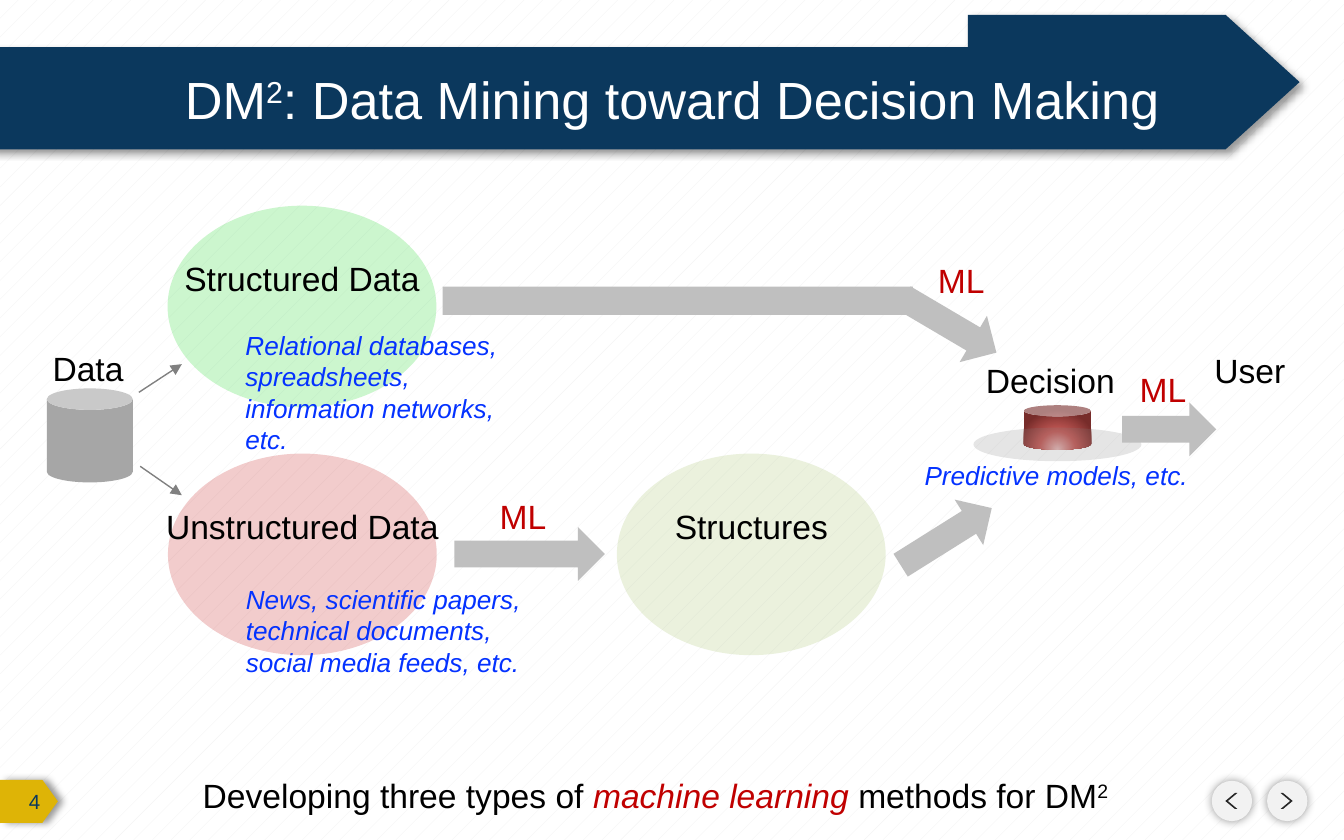
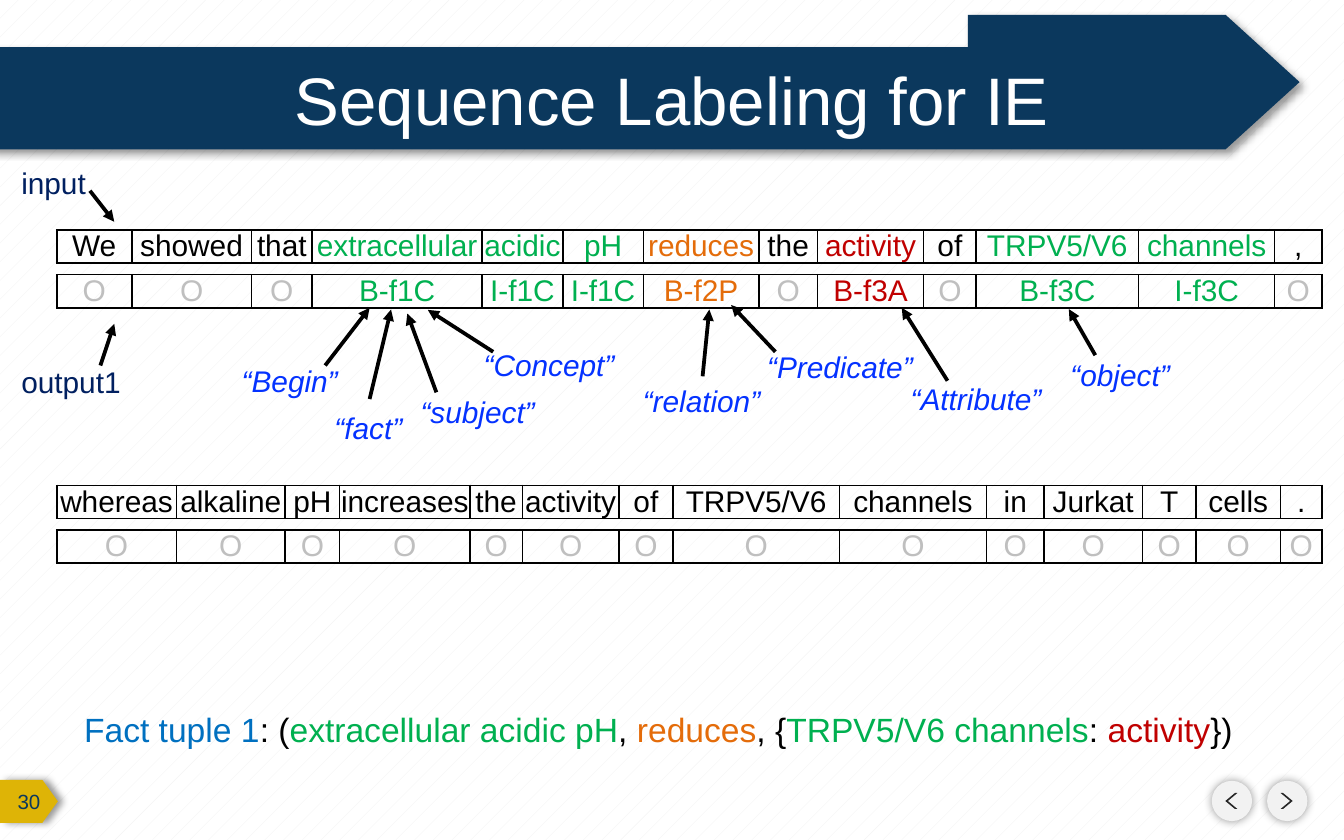
from dataclasses import dataclass
from itertools import accumulate

from lxml import etree
from pptx import Presentation
from pptx.dml.color import RGBColor as Rgb
from pptx.enum.dml import MSO_PATTERN as Pat
from pptx.enum.shapes import MSO_CONNECTOR as Conn, MSO_SHAPE as Geo
from pptx.enum.text import MSO_ANCHOR as Anchor, MSO_AUTO_SIZE as Fit, PP_ALIGN as Align
from pptx.oxml import parse_xml
from pptx.oxml.ns import nsdecls, qn
from pptx.util import Pt


@dataclass(frozen=True)
class Theme:
    font: str = "Arial"
    white: str = "FFFFFF"
    pale: str = "F2F2F2"
    black: str = "000000"
    dark: str = "262626"
    navy: str = "0B385D"
    ink: str = "012060"
    gold: str = "DEB406"
    blue: str = "0432FF"
    sky: str = "0070C0"
    red: str = "C00000"
    green: str = "00B050"
    orange: str = "E46C0A"
    lime: str = "02D40E"
    olive: str = "9BBB59"
    silver: str = "BFBFBF"
    steel: str = "A6A6A6"
    grey: str = "808080"
    glow: tuple = ((0, "E6B9B8"), (46, "C35956"), (100, "772C2A"))
    head: int = 36
    long: int = 28
    label: int = 18
    word: int = 16
    note: int = 14
    page: int = 11


T = Theme()


def sub(node, tag, **attrs):
    return etree.SubElement(node, qn(tag), {k: str(v) for k, v in attrs.items()})


def style(font, size=None, color=None, italic=None):
    if size:
        font.name, font.size = T.font, Pt(size)
    if color:
        font.color.rgb = Rgb.from_string(color)
    if italic is not None:
        font.italic = italic


def fill_runs(para, runs):
    """Each run is (text, colour, italic, raised); only the text is required."""
    for text, *look in runs:
        color, italic, raised = (look + [None] * 3)[:3]
        run = para.add_run()
        run.text = text
        style(run.font, None, color, italic)
        if raised:
            run.font._element.set("baseline", "30000")


def paint(shape, color, alpha=None, shade=None):
    """Flat fill without outline; shade is (blur, distance, degrees)."""
    shape.shadow.inherit = False
    shape.line.fill.background()
    shape.fill.solid()
    shape.fill.fore_color.rgb = Rgb.from_string(color)
    props = shape._element.spPr
    if alpha:
        sub(props.find(".//" + qn("a:srgbClr")), "a:alpha", val=alpha * 1000)
    if shade:
        blur, dist, deg = shade
        outer = sub(props.find(qn("a:effectLst")), "a:outerShdw", blurRad=Pt(blur),
                    dist=Pt(dist), dir=deg * 60000, algn="ctr", rotWithShape=0)
        sub(sub(outer, "a:srgbClr", val=T.black), "a:alpha", val=40000)
    return shape


@dataclass
class Pane:
    """A region of a slide; parts are placed relative to its corner."""
    slide: object
    x: float = 0
    y: float = 0

    def at(self, x, y):
        return Pt(self.x + x), Pt(self.y + y)

    def draw(self, geo, x, y, w, h, color, turn=0, adj=None, **look):
        shape = self.slide.shapes.add_shape(geo, *self.at(x, y), Pt(w), Pt(h))
        shape.rotation = turn
        if adj:
            shape.adjustments[0] = adj
        return paint(shape, color, **look)

    def text(self, lines, x, y, w, h=28.8, size=T.label, color=T.black,
             italic=None, align=None, wrap=False):
        box = self.slide.shapes.add_textbox(*self.at(x, y), Pt(w), Pt(h))
        frame = box.text_frame
        frame.word_wrap, frame.auto_size = wrap, Fit.SHAPE_TO_FIT_TEXT
        for i, line in enumerate([lines] if isinstance(lines, str) else lines):
            para = frame.add_paragraph() if i else frame.paragraphs[0]
            para.alignment = align
            style(para.font, size, color, italic)
            fill_runs(para, [(line,)] if isinstance(line, str) else line)
        return frame

    def arrow(self, x1, y1, x2, y2, color=T.black, width=2):
        line = self.slide.shapes.add_connector(
            Conn.STRAIGHT, *self.at(x1, y1), *self.at(x2, y2))
        line.line.color.rgb = Rgb.from_string(color)
        line.line.width = Pt(width)
        props = line._element.spPr
        sub(props.find(qn("a:ln")), "a:tailEnd", type="triangle")
        sub(props, "a:effectLst")

    def ml(self, x, y):
        self.text("ML", x, y, 39.6, color=T.red)


# Shared frame: banner, title, page tag, navigation
def banner(pane, runs, size):
    form = pane.slide.shapes.build_freeform(*pane.at(0, 17.3), scale=1.0)
    form.add_line_segments([pane.at(*p) for p in (
        (524.4, 17.3), (524.4, 0), (662.4, 0), (702, 36), (662.4, 72), (0, 72))])
    band = paint(form.convert_to_shape(), T.navy, shade=(4, 3, 45))
    title = pane.slide.shapes.title
    band._element.addnext(title._element)  # the title lies on the band
    title.left, title.top = pane.at(67, 19.5)
    title.width, title.height = Pt(597.6), Pt(50.4)
    frame = title.text_frame
    frame.auto_size, frame.word_wrap = Fit.NONE, True
    frame.vertical_anchor = Anchor.MIDDLE
    para = frame.paragraphs[0]
    para.alignment = Align.CENTER
    style(para.font, size, T.white)
    fill_runs(para, runs)


def page_tag(pane, page):
    pane.draw(Geo.PENTAGON, 0, 0, 31, 23, T.gold, adj=0.36, shade=(4, 3, 0))
    frame = pane.text(str(page), 0, 0, 28.8, 23, T.page, T.navy,
                      align=Align.RIGHT, wrap=True)
    frame.auto_size, frame.vertical_anchor = Fit.NONE, Anchor.MIDDLE


def nav(pane):
    for i, turn in enumerate((180, 0)):
        x = i * 29.6
        pane.draw(Geo.OVAL, x, 0, 21.6, 21.6, T.pale, shade=(5, 0, 0))
        pane.draw(Geo.CHEVRON, x + 7.2, 6.5, 6.5, 8.6, T.dark, turn, 0.793)


def new_slide(deck, runs, size, page):
    slide = deck.slides.add_slide(deck.slide_layouts[5])
    nav(Pane(slide, 649.2, 418.3))
    page_tag(Pane(slide, 0, 417.8), page)
    banner(Pane(slide, -5.8, 8), runs, size)
    return slide


# Data mining flow
def stage(pane, color, name, width, note=None, drop=0):
    pane.draw(Geo.OVAL, 0, 0, 144, 108, color, alpha=20)
    pane.text(name, 72 - width / 2, 24.4, width, align=Align.CENTER)
    if note:
        pane.text(note, 34.6, drop, 172.8, 58.3, T.note, T.blue, True, wrap=True)


def store(pane):
    pane.draw(Geo.CAN, 4, 25.2, 46.1, 50.4, T.steel)
    pane.text("Data", 0, 0, 52.6)
    pane.arrow(53.3, 27.3, 76.3, 12.2, T.grey, 0.75)
    pane.arrow(54, 66.9, 76.3, 82.4, T.grey, 0.75)


def links(pane):
    for x, y, w, turn in ((6.3, 128.8, 80.6, 0), (243.1, 6.3, 57.6, 30.5),
                          (241, 119.5, 57.6, 327.9)):
        pane.draw(Geo.RIGHT_ARROW, x, y, w, 28.8, T.silver, turn)
    pane.draw(Geo.RECTANGLE, 0, 0, 252, 15.1, T.silver)
    pane.ml(23.5, 108.6)
    pane.ml(258.3, -18.1)


def glow(shape):
    """Replace the flat fill by a radial one that shines from below."""
    grad = parse_xml(f'<a:gradFill {nsdecls("a")} rotWithShape="1"/>')
    row = sub(grad, "a:gsLst")
    for pos, color in T.glow:
        sub(sub(row, "a:gs", pos=pos * 1000), "a:srgbClr", val=color)
    sub(sub(grad, "a:path", path="circle"), "a:fillToRect",
        l=50000, t=130000, r=50000, b=-30000)
    props = shape._element.spPr
    props.replace(props.find(qn("a:solidFill")), grad)


def outcome(pane):
    glow(pane.draw(Geo.CAN, 60.3, 33.2, 36, 23.8, T.red))
    pane.draw(Geo.OVAL, 33.3, 45.2, 90, 18, T.grey, alpha=20)
    pane.text("Decision", 32.4, 5.6, 84.2, align=Align.CENTER)
    pane.draw(Geo.RIGHT_ARROW, 113, 31.7, 50.4, 28.8, T.silver)
    pane.ml(115.2, 10.1)
    pane.text("User", 155.1, 0, 52.6, align=Align.CENTER)
    pane.text("Predictive models, etc.", 0, 58.7, 156.2, 24.5, T.note, T.blue, True)


def flow_slide(deck):
    slide = new_slide(deck, [("DM",), ("2", None, None, True),
                             (": Data Mining toward Decision Making",)], T.long, 4)
    stage(Pane(slide, 90, 243), T.red, "Unstructured Data", 161.4,
          ["News, scientific papers,", "technical documents,",
           "social media feeds, etc."], 65.9)
    stage(Pane(slide, 89.8, 110.2), T.lime, "Structured Data", 141.8,
          ["Relational databases,", "spreadsheets,",
           "information networks, etc."], 62.6)
    stage(Pane(slide, 330.5, 243), T.olive, "Structures", 97.2)
    outcome(Pane(slide, 488.2, 183.9))
    links(Pane(slide, 237.1, 153.6))
    store(Pane(slide, 21.1, 182.9))
    Pane(slide, 101.5, 411.8).text(
        [[("Developing three types of ",), ("machine learning ", T.red, True),
          ("methods for DM",), ("2", None, None, True)]], 0, 0, 504.7)


# Sequence labels
HUES = {"C": T.green, "P": T.orange, "A": T.red}


def strip(pane, y, texts, hues, widths):
    """One-row table with a black grid."""
    frame = pane.slide.shapes.add_table(
        1, len(texts), *pane.at(0, y), Pt(sum(widths)), Pt(19.4))
    table = frame.table
    table.first_row = table.horz_banding = False
    edges = [0, *accumulate(widths)]
    for i, (text, hue) in enumerate(zip(texts, hues)):
        table.columns[i].width = Pt(edges[i + 1]) - Pt(edges[i])
        cell = table.cell(0, i)
        cell.margin_left = cell.margin_right = cell.margin_top = cell.margin_bottom = 0
        cell.vertical_anchor = Anchor.BOTTOM
        cell.fill.background()
        props = cell._tc.get_or_add_tcPr()
        for n, side in enumerate("LRTB"):
            line = parse_xml(f'<a:ln{side} {nsdecls("a")} w="{Pt(1)}"/>')
            sub(sub(line, "a:solidFill"), "a:srgbClr", val=T.black)
            props.insert(n, line)
        para = cell.text_frame.paragraphs[0]
        para.alignment = Align.CENTER
        style(para.font, T.word, hue)
        fill_runs(para, [(text,)])
    table.rows[0].height = Pt(14.4)
    frame.height = Pt(19.4)


def tagged(pane, words, tags, widths):
    strip(pane, 0, words, [HUES.get(t[-1], T.black) for t in tags], widths)
    strip(pane, 23.9, tags, [HUES.get(t[-1], T.silver) for t in tags], widths)


def callouts(pane):
    for name, x, y, w, *ends in (
            ("Begin", 2.4, 27.8, 66.2, 54.2, 32.8, 78, 1.9),
            ("fact", 52.1, 53, 51.8, 78, 50.8, 89.5, 2.8),
            ("subject", 98.2, 44.4, 76.3, 113.8, 47.2, 98.2, 5),
            ("Concept", 132, 19.2, 85.7, 144.2, 25.5, 109.2, 3),
            ("relation", 217.3, 38.6, 78.5, 256.4, 38.6, 260, 2.8),
            ("Predicate", 283.9, 20.3, 93.6, 295.4, 25.5, 271.7, 0.4),
            ("Attribute", 360.8, 37.5, 85.7, 387.6, 41, 363.1, 1.9),
            ("object", 446.4, 24.6, 68.4, 466.8, 27.3, 452.6, 2.6)):
        pane.text(f"“{name}”", x, y, w, 26.6, T.word, T.blue, True)
        pane.arrow(*ends)


def pointers(pane):
    pane.text("input", 0, 0, 49.7, 26.6, T.word, T.ink)
    pane.arrow(43.9, 17.5, 56.9, 34.1)
    pane.text("output1", 0, 106.8, 68.4, 26.6, T.word, T.ink)
    pane.arrow(49.5, 111.1, 56.9, 88.8)


def label_slide(deck):
    slide = new_slide(deck, [("Sequence Labeling for IE",)], T.head, 30)
    tagged(Pane(slide, 30.4, 123.2),
           "We showed that extracellular acidic pH reduces the activity of "
           "TRPV5/V6 channels ,".split(),
           "O O O B-f1C I-f1C I-f1C B-f2P O B-f3A O B-f3C I-f3C O".split(),
           [40.2, 64.1, 32.6, 91, 43.2, 43.2, 61.9, 31.4, 56.9, 28.1,
            87.1, 72.9, 25.2])
    tagged(Pane(slide, 30.4, 260),
           "whereas alkaline pH increases the activity of TRPV5/V6 channels "
           "in Jurkat T cells .".split(), ["O"] * 14,
           [64.1, 58.3, 29.2, 69.8, 28.1, 51.8, 28.8, 89.3, 78.7, 31,
            52.6, 28.8, 45.2, 22.3])
    pointers(Pane(slide, 4.3, 84.7))
    callouts(Pane(slide, 120, 163))
    Pane(slide, 38, 376.3).text(
        [[("Fact tuple 1", T.sky), (": (",), ("extracellular acidic pH", T.green),
          (", ",), ("reduces", T.orange), (", {",), ("TRPV5/V6 channels", T.green),
          (": ",), ("activity", T.red), ("})",)]], 0, 0, 670.3, wrap=True)


def main():
    deck = Presentation()
    deck.slide_width, deck.slide_height = Pt(720), Pt(450)
    back = deck.slide_master.background.fill
    back.patterned()
    back.pattern = Pat.PERCENT_5
    back.fore_color.rgb = Rgb.from_string(T.pale)
    back.back_color.rgb = Rgb.from_string(T.white)
    flow_slide(deck)
    label_slide(deck)
    deck.save("out.pptx")


if __name__ == "__main__":
    main()
